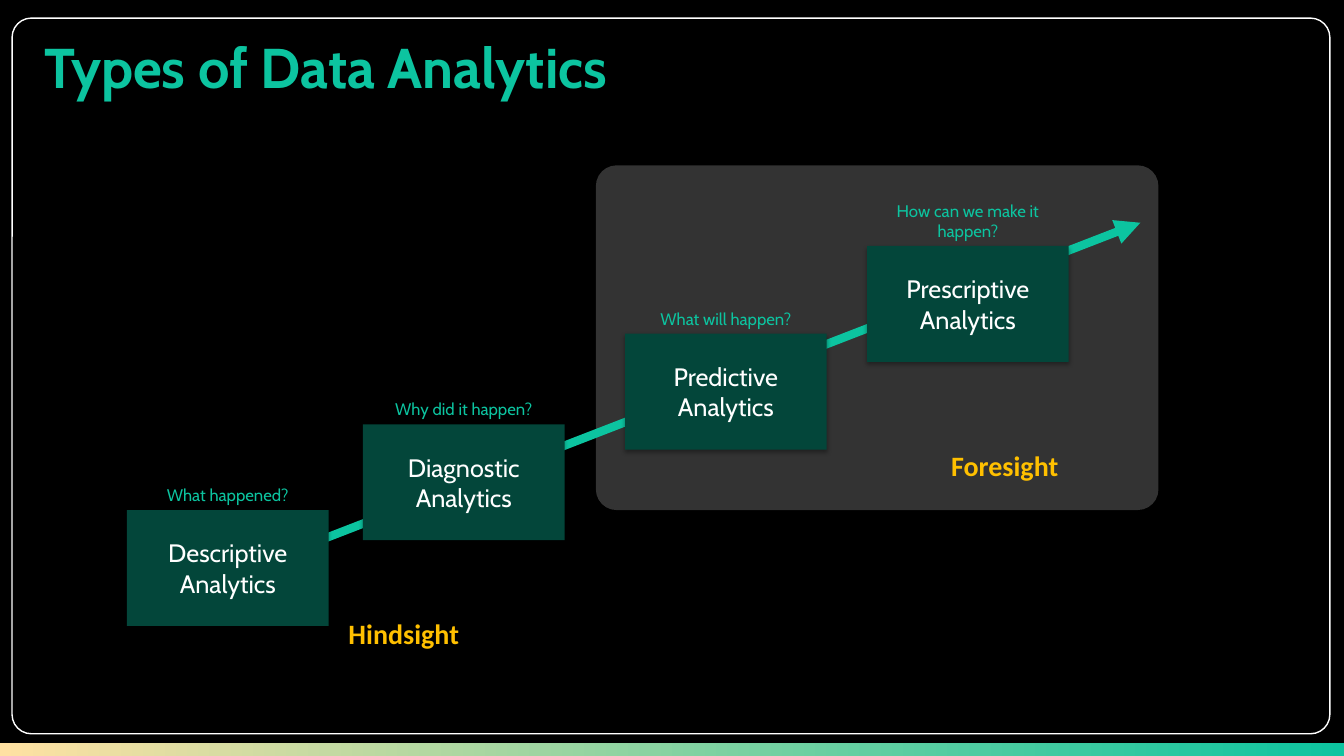
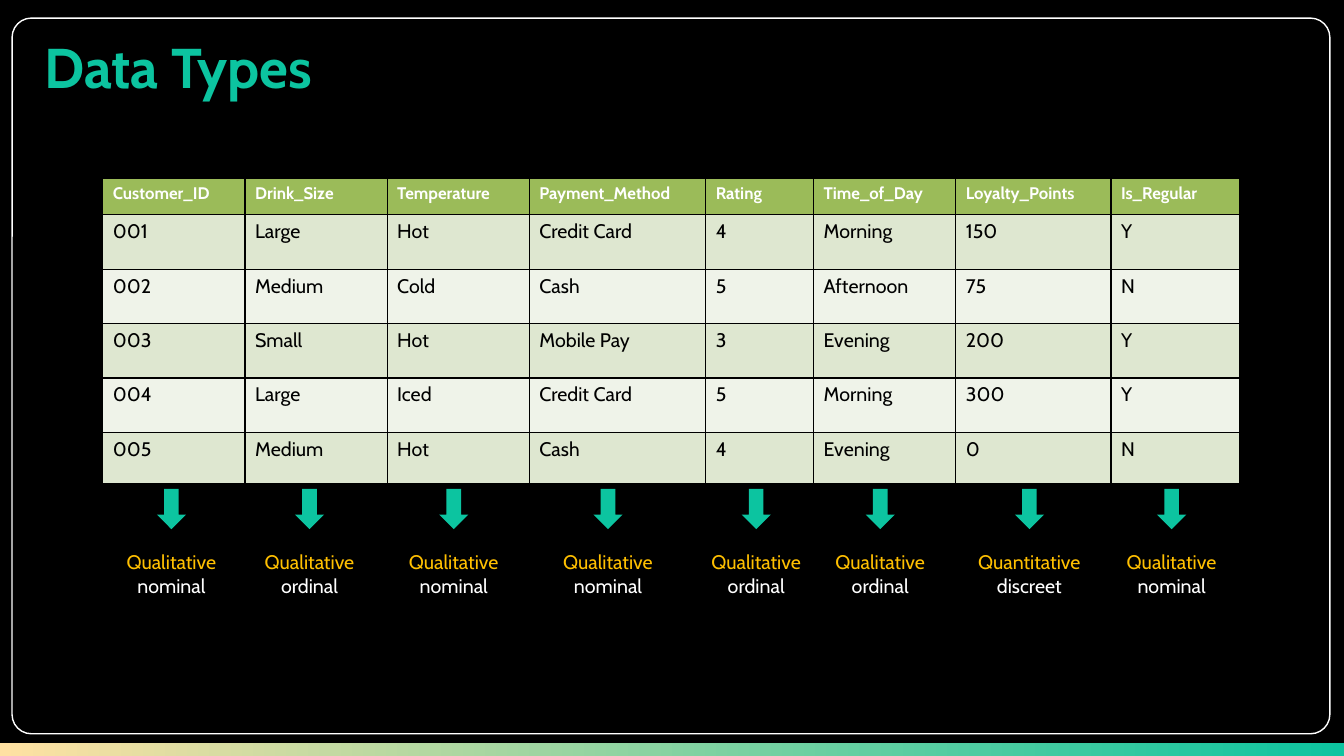
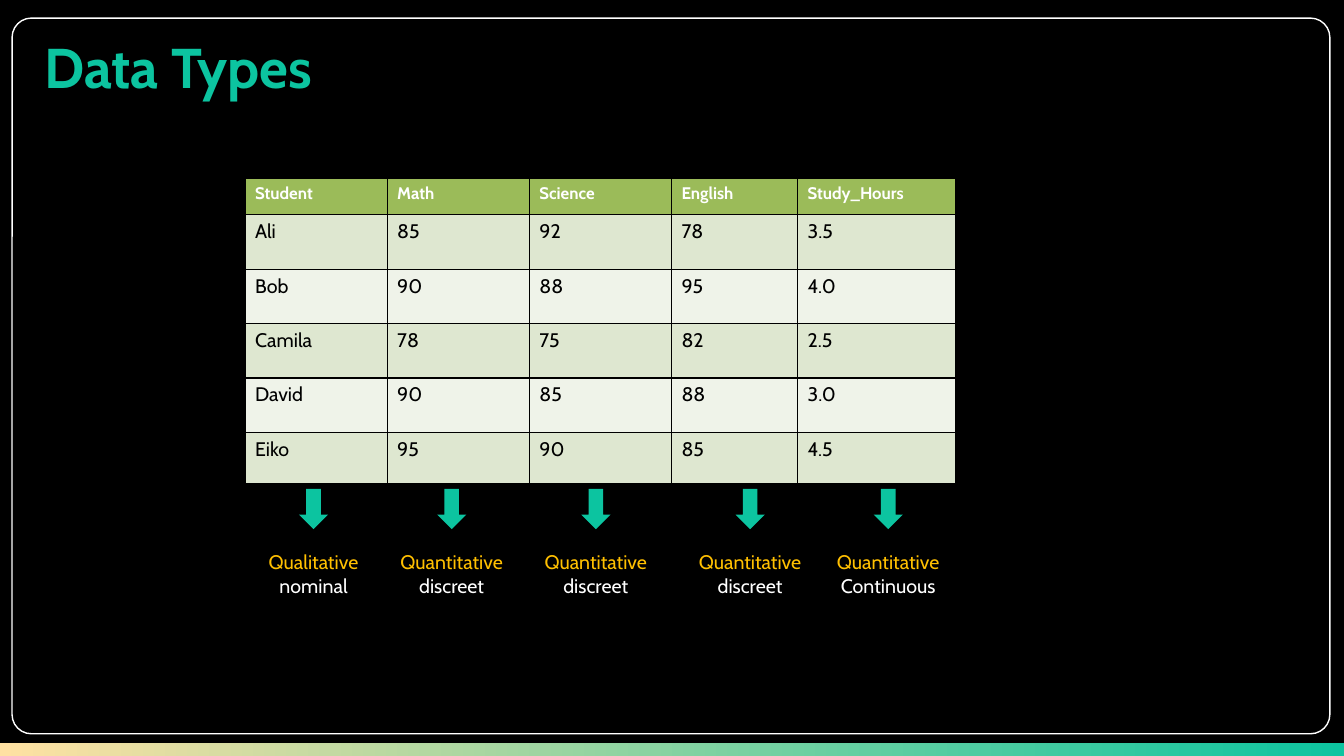
from lxml.etree import SubElement
from pptx import Presentation
from pptx.dml.color import RGBColor
from pptx.enum.shapes import MSO_CONNECTOR, MSO_SHAPE
from pptx.enum.text import MSO_ANCHOR, MSO_AUTO_SIZE, PP_ALIGN
from pptx.oxml.ns import qn
from pptx.util import Emu, Pt

# Shared style: 100 px to the inch
PX = 9144
SLIDE_WIDTH, SLIDE_HEIGHT = 1333, 750
FONT, ACCENT_FONT = "Cabin", "Calibri"
COLORS = {
    "black": "000000", "white": "FFFFFF", "teal": "0CC4A0", "sand": "FFE1A2",
    "dark_green": "03463A", "amber": "FFC000",
    "header": "9BBB59", "odd_row": "DEE7D0", "even_row": "EFF3E9",
}

# Staircase of analytics: left, top, name, question, question height
STEPS_TITLE = "Types of Data Analytics"
STEPS = [
    (126, 506, "Descriptive", "What happened?", 30),
    (360, 421, "Diagnostic", "Why did it happen?", 30),
    (620, 331, "Predictive", "What will happen?", 30),
    (860, 244, "Prescriptive", "How can we make it happen?", 50),
]
STEP_SIZE = (200, 115)
STEP_SUFFIX = "Analytics"
FORESIGHT_PANEL = (591, 164, 558, 342)
RISING_ARROW = (152, 600, 1131, 221)
SIGHTS = [("Hindsight", (335, 607, 131, 44)), ("Foresight", (933, 440, 127, 44))]

# Data tables: labels hold centre, kind and scale of each column
TABLE_TOP = 177
ROW_HEIGHTS = [36, 54, 54, 54, 54, 51]
ARROW_TOP, ARROW_SIZE = 485, (29, 40)
LABEL_TOP, LABEL_HEIGHT = 541, 57
LABEL_WIDTHS = {"Qualitative": 119, "Quantitative": 133}
TABLE_SLIDES = [
    {
        "title": "Data Types",
        "left": 102,
        "widths": [141, 141, 141, 175, 107, 141, 154, 128],
        "rows": [
            ("Customer_ID", "Drink_Size", "Temperature", "Payment_Method",
             "Rating", "Time_of_Day", "Loyalty_Points", "Is_Regular"),
            ("001", "Large", "Hot", "Credit Card", "4", "Morning", "150", "Y"),
            ("002", "Medium", "Cold", "Cash", "5", "Afternoon", "75", "N"),
            ("003", "Small", "Hot", "Mobile Pay", "3", "Evening", "200", "Y"),
            ("004", "Large", "Iced", "Credit Card", "5", "Morning", "300", "Y"),
            ("005", "Medium", "Hot", "Cash", "4", "Evening", "0", "N"),
        ],
        "labels": [
            (170, "Qualitative", "nominal"), (307, "Qualitative", "ordinal"),
            (450, "Qualitative", "nominal"), (603, "Qualitative", "nominal"),
            (750, "Qualitative", "ordinal"), (873, "Qualitative", "ordinal"),
            (1021, "Quantitative", "discreet"), (1162, "Qualitative", "nominal"),
        ],
    },
    {
        "title": "Data Types",
        "left": 243,
        "widths": [141, 141, 141, 125, 157],
        "rows": [
            ("Student", "Math", "Science", "English", "Study_Hours"),
            ("Ali", "85", "92", "78", "3.5"),
            ("Bob", "90", "88", "95", "4.0"),
            ("Camila", "78", "75", "82", "2.5"),
            ("David", "90", "85", "88", "3.0"),
            ("Eiko", "95", "90", "85", "4.5"),
        ],
        "labels": [
            (311, "Qualitative", "nominal"), (448, "Quantitative", "discreet"),
            (591, "Quantitative", "discreet"), (744, "Quantitative", "discreet"),
            (881, "Quantitative", "Continuous"),
        ],
    },
]


def px(*lengths):
    return [Emu(round(length * PX)) for length in lengths]


def color(name):
    return RGBColor.from_string(COLORS[name])


def write(text_frame, lines, size, align=PP_ALIGN.CENTER, font=FONT, bold=False):
    """Write one paragraph for each (text, colour name) pair."""
    text_frame.word_wrap = True
    for index, (text, color_name) in enumerate(lines):
        paragraph = text_frame.add_paragraph() if index else text_frame.paragraphs[0]
        paragraph.alignment = align
        run = paragraph.add_run()
        run.text = text
        run.font.name = font
        run.font.size = Pt(size)
        run.font.bold = bold
        run.font.color.rgb = color(color_name)


def add_text(slide, box, lines, size, **style):
    write(slide.shapes.add_textbox(*px(*box)).text_frame, lines, size, **style)


def add_shape(slide, kind, box, fill=None):
    shape = slide.shapes.add_shape(kind, *px(*box))
    shape.shadow.inherit = False
    shape.line.fill.background()
    if fill:
        shape.fill.solid()
        shape.fill.fore_color.rgb = color(fill)
    else:
        shape.fill.background()
    return shape


def add_titled_slide(presentation, title_text):
    slide = presentation.slides.add_slide(presentation.slide_layouts[5])

    # Frame and bottom band
    frame = add_shape(slide, MSO_SHAPE.ROUNDED_RECTANGLE, (12, 18, 1307, 710))
    frame.adjustments[0] = 0.027
    frame.line.color.rgb = color("white")
    frame.line.width = Pt(1)
    band = add_shape(slide, MSO_SHAPE.RECTANGLE, (0, 737, SLIDE_WIDTH, 13))
    band.fill.gradient()
    band.fill.gradient_angle = 0
    for stop, name in zip(band.fill.gradient_stops, ("sand", "teal")):
        stop.color.rgb = color(name)

    # Title
    title = slide.shapes.title
    title.left, title.top, title.width, title.height = px(44, 32, 776, 67)
    text_frame = title.text_frame
    text_frame.auto_size = MSO_AUTO_SIZE.NONE
    text_frame.vertical_anchor = MSO_ANCHOR.TOP
    text_frame.margin_left = text_frame.margin_right = 0
    text_frame.margin_top = text_frame.margin_bottom = 0
    write(text_frame, [(title_text, "teal")], 40, align=PP_ALIGN.LEFT, bold=True)
    return slide


def add_soft_shadow(shape):
    effects = shape._element.spPr.find(qn("a:effectLst"))
    shadow = SubElement(effects, qn("a:outerShdw"), blurRad=str(Pt(3.1)),
                        dist=str(Pt(1.8)), dir="5400000", rotWithShape="0")
    shade = SubElement(shadow, qn("a:srgbClr"), val=COLORS["black"])
    SubElement(shade, qn("a:alpha"), val="35000")


def add_rising_arrow(slide):
    arrow = slide.shapes.add_connector(MSO_CONNECTOR.STRAIGHT, *px(*RISING_ARROW))
    arrow.line.color.rgb = color("teal")
    arrow.line.width = Pt(6)
    SubElement(arrow.line._get_or_add_ln(), qn("a:tailEnd"), type="triangle")
    SubElement(arrow._element.spPr, qn("a:effectLst"))


def add_steps_slide(presentation):
    slide = add_titled_slide(presentation, STEPS_TITLE)

    # Translucent panel and the arrow behind the steps
    panel = add_shape(slide, MSO_SHAPE.ROUNDED_RECTANGLE, FORESIGHT_PANEL, "white")
    panel.adjustments[0] = 0.06
    panel_color = panel._element.spPr.find(qn("a:solidFill"))[0]
    SubElement(panel_color, qn("a:alpha"), val="20000")
    add_rising_arrow(slide)

    # Steps with their questions above
    for left, top, name, question, question_height in STEPS:
        step = add_shape(slide, MSO_SHAPE.RECTANGLE, (left, top, *STEP_SIZE), "dark_green")
        add_soft_shadow(step)
        step.text_frame.vertical_anchor = MSO_ANCHOR.MIDDLE
        write(step.text_frame, [(name, "white"), (STEP_SUFFIX, "white")], 18)
        question_box = (left, top - question_height, STEP_SIZE[0], question_height)
        add_text(slide, question_box, [(question, "teal")], 12)

    for sight, box in SIGHTS:
        add_text(slide, box, [(sight, "amber")], 20, font=ACCENT_FONT, bold=True)


def add_borders(cell):
    properties = cell._tc.get_or_add_tcPr()
    for side in ("lnL", "lnR", "lnT", "lnB"):
        line = SubElement(properties, qn(f"a:{side}"), w=str(Pt(1)))
        fill = SubElement(line, qn("a:solidFill"))
        SubElement(fill, qn("a:srgbClr"), val=COLORS["black"])


def add_data_table(slide, left, widths, rows):
    box = px(left, TABLE_TOP, sum(widths), sum(ROW_HEIGHTS))
    table = slide.shapes.add_table(len(rows), len(widths), *box).table
    for column, width in zip(table.columns, px(*widths)):
        column.width = width
    for row, height in zip(table.rows, px(*ROW_HEIGHTS)):
        row.height = height
    for row_index, values in enumerate(rows):
        is_header = row_index == 0
        row_fill = "header" if is_header else "odd_row" if row_index % 2 else "even_row"
        text_color, size = ("white", 12) if is_header else ("black", 14)
        for column_index, value in enumerate(values):
            cell = table.cell(row_index, column_index)
            add_borders(cell)
            cell.fill.solid()
            cell.fill.fore_color.rgb = color(row_fill)
            write(cell.text_frame, [(value, text_color)], size,
                  align=PP_ALIGN.LEFT, bold=is_header)


def add_table_slide(presentation, content):
    slide = add_titled_slide(presentation, content["title"])
    add_data_table(slide, content["left"], content["widths"], content["rows"])

    # Arrow and data type under each column
    for center, kind, scale in content["labels"]:
        arrow_box = (center - ARROW_SIZE[0] / 2, ARROW_TOP, *ARROW_SIZE)
        add_shape(slide, MSO_SHAPE.DOWN_ARROW, arrow_box, "teal")
        width = LABEL_WIDTHS[kind]
        label_box = (center - width / 2, LABEL_TOP, width, LABEL_HEIGHT)
        add_text(slide, label_box, [(kind, "amber"), (scale, "white")], 14)


def main():
    presentation = Presentation()
    presentation.slide_width, presentation.slide_height = px(SLIDE_WIDTH, SLIDE_HEIGHT)
    background = presentation.slide_master.background.fill
    background.solid()
    background.fore_color.rgb = color("black")

    add_steps_slide(presentation)
    for content in TABLE_SLIDES:
        add_table_slide(presentation, content)
    presentation.save("out.pptx")


if __name__ == "__main__":
    main()
